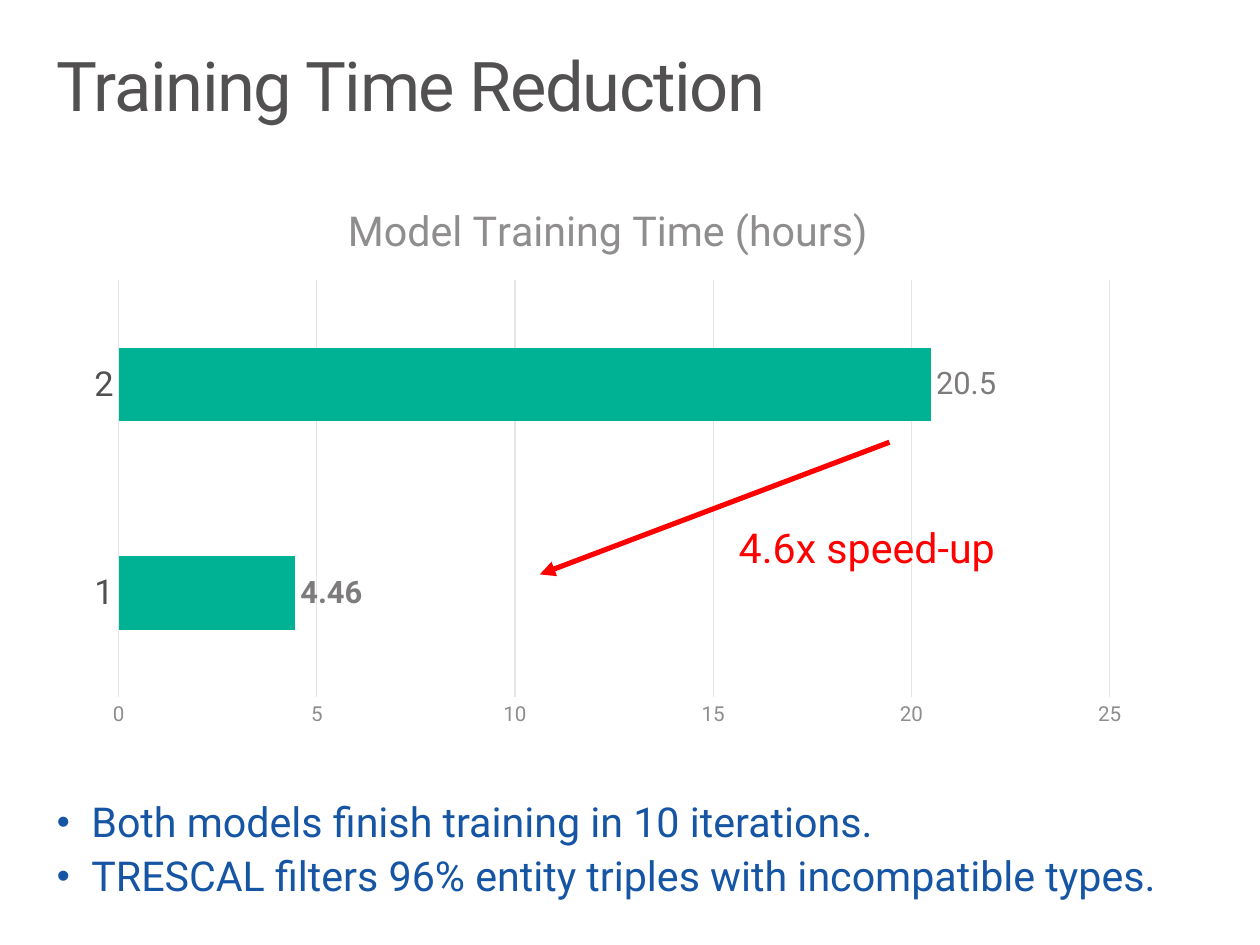
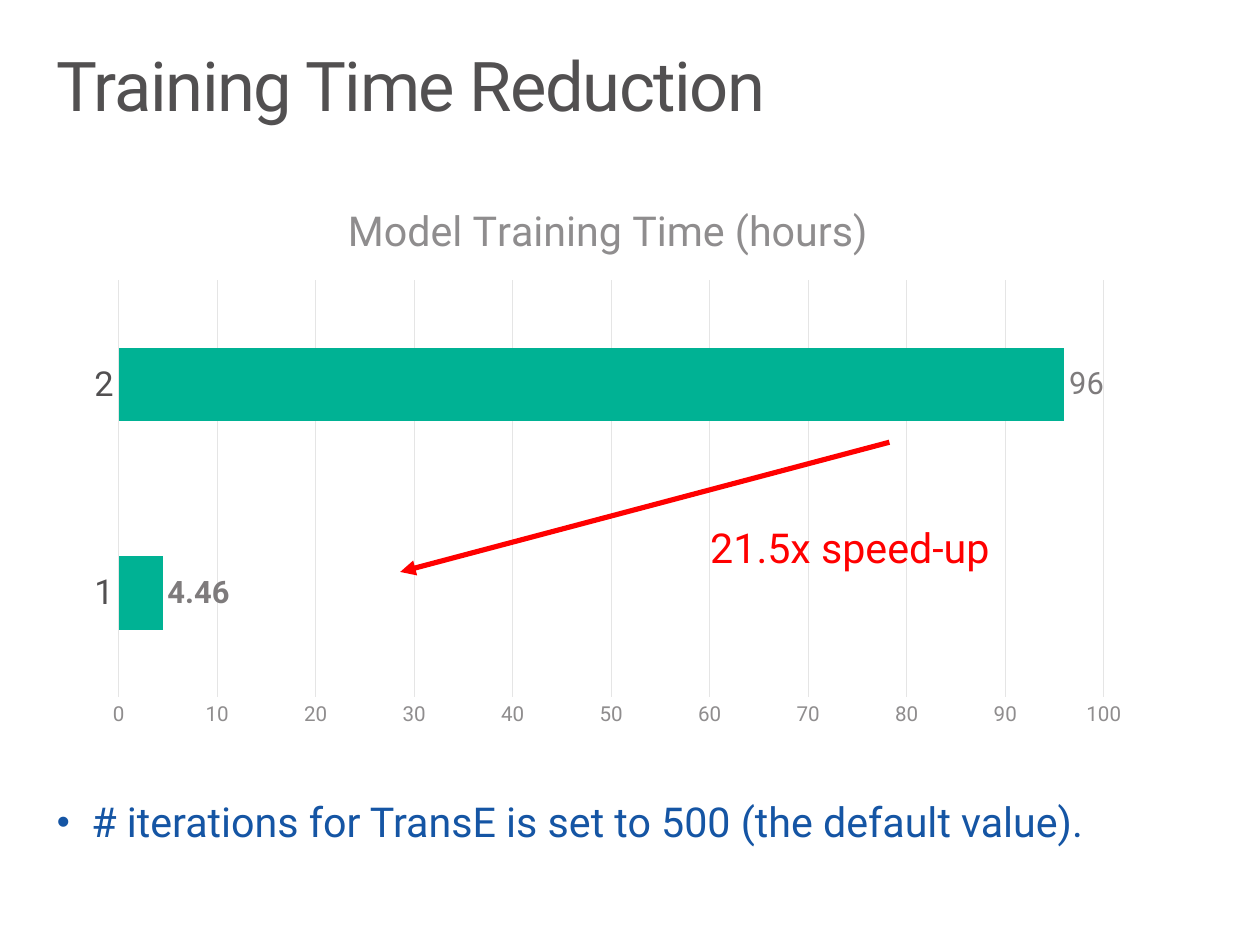
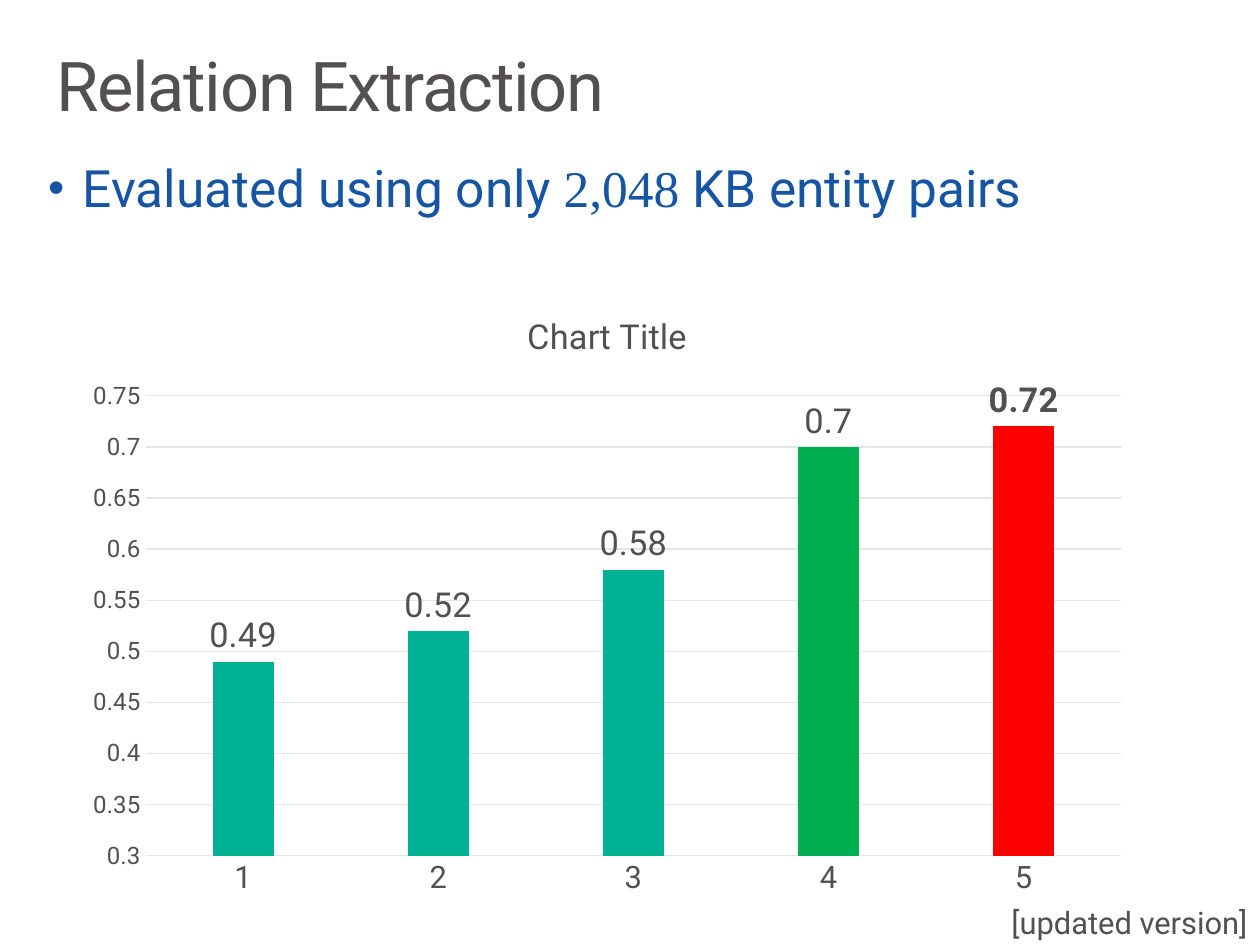
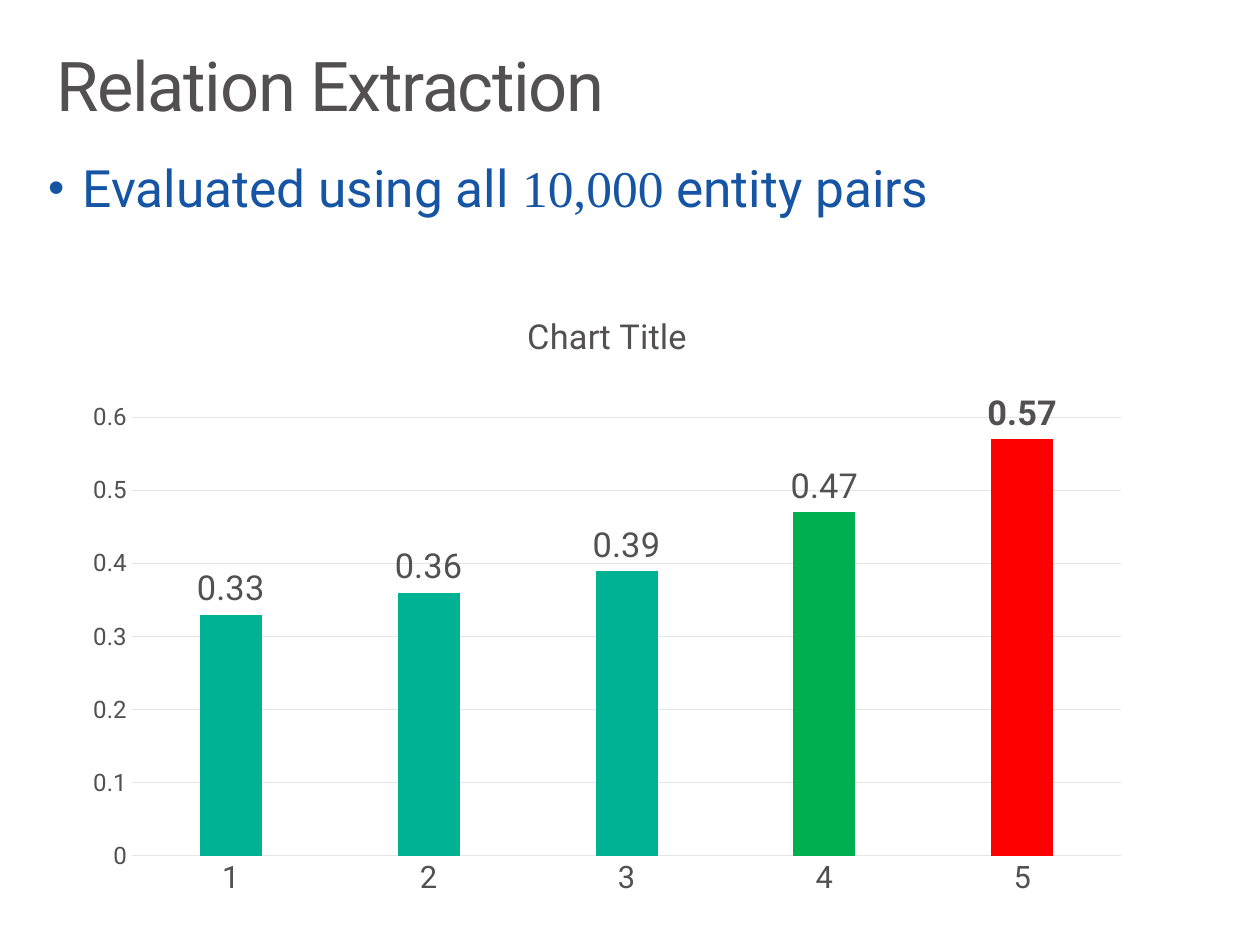
import pptx
import pptx.chart.data
import pptx.dml.color
import pptx.enum.chart
import pptx.enum.shapes
import pptx.enum.text
import pptx.oxml.ns
import pptx.util
import lxml.etree

Pt = pptx.util.Pt
ALIGN = pptx.enum.text.PP_ALIGN
CHART_TYPE = pptx.enum.chart.XL_CHART_TYPE

SANS, SERIF = "Roboto", "Times New Roman"
DARK, GRAY, LABEL_GRAY, GRID = "525051", "8F8D8E", "7E7B7C", "E5E5E5"
BLUE, TEAL, GREEN, RED = "1555A4", "00B294", "00B050", "FF0000"

BODY_INSETS = (11.52, 7.2)
NOTE_INSETS = (14.4, 11.52)
INDENT = 20.16


def rgb(hex_code):
    """Turn a hex string into a colour."""
    return pptx.dml.color.RGBColor.from_string(hex_code)


def style_font(font, size, color, name=SANS, bold=False):
    """Set the face, size, colour and weight of a font."""
    font.name = name
    font.size = Pt(size)
    font.bold = bold
    font.color.rgb = rgb(color)


def style_line(line, color, width):
    """Set a solid line's colour and width."""
    line.color.rgb = rgb(color)
    line.width = Pt(width)


def add_element(parent, tag, **attributes):
    """Append a DrawingML element."""
    return lxml.etree.SubElement(parent, pptx.oxml.ns.qn(tag), attributes)


def prepare_frame(frame, insets):
    """Set wrapping, top anchor and insets of a text frame."""
    side, end = insets
    frame.word_wrap = True
    frame.auto_size = pptx.enum.text.MSO_AUTO_SIZE.NONE
    frame.vertical_anchor = pptx.enum.text.MSO_ANCHOR.TOP
    frame.margin_left = frame.margin_right = Pt(side)
    frame.margin_top = frame.margin_bottom = Pt(end)


def add_run(paragraph, words, size, color, name=SANS):
    """Add one formatted run and return it."""
    run = paragraph.add_run()
    run.text = words
    style_font(run.font, size, color, name)
    return run


def add_titled_slide(deck, heading):
    """Add a title-only slide with its heading."""
    slide = deck.slides.add_slide(deck.slide_layouts[5])
    title = slide.shapes.title
    title.left, title.top, title.width, title.height = map(Pt, (21.6, 23.04, 691.2, 72))
    prepare_frame(title.text_frame, BODY_INSETS)
    paragraph = title.text_frame.paragraphs[0]
    paragraph.alignment = ALIGN.LEFT
    paragraph.line_spacing = 0.9
    run = add_run(paragraph, heading, 40, DARK)
    run.font._element.set("spc", "-80")
    return slide


def add_bullets(slide, box, size, bullets):
    """Add a bulleted list; each bullet is a list of (words, font) pairs."""
    frame = slide.shapes.add_textbox(*map(Pt, box)).text_frame
    prepare_frame(frame, BODY_INSETS)
    for index, bullet in enumerate(bullets):
        paragraph = frame.add_paragraph() if index else frame.paragraphs[0]
        paragraph.line_spacing = 0.9
        if index:
            paragraph.space_before = Pt(size * 0.23)
        properties = paragraph._p.get_or_add_pPr()
        properties.set("marL", str(Pt(INDENT)))
        properties.set("indent", str(-Pt(INDENT)))
        add_element(properties, "a:buSzPct", val="90000")
        add_element(properties, "a:buFont", typeface="Arial")
        add_element(properties, "a:buChar", char="•")
        for words, name in bullet:
            add_run(paragraph, words, size, BLUE, name)


def add_note(slide, box, words, size, color, alignment=ALIGN.LEFT):
    """Add a single-line remark."""
    frame = slide.shapes.add_textbox(*map(Pt, box)).text_frame
    prepare_frame(frame, NOTE_INSETS)
    paragraph = frame.paragraphs[0]
    paragraph.alignment = alignment
    paragraph.line_spacing = 0.9
    paragraph.space_after = Pt(6)
    add_run(paragraph, words, size, color)


def add_arrow(slide, start, end):
    """Add a red arrow between two points."""
    arrow = slide.shapes.add_connector(
        pptx.enum.shapes.MSO_CONNECTOR.STRAIGHT, *map(Pt, start + end))
    style_line(arrow.line, RED, 3)
    add_element(arrow.line._get_or_add_ln(), "a:tailEnd", type="triangle")
    add_element(arrow._element.spPr, "a:effectLst")


def style_axis(axis, size, color):
    """Remove an axis's tick marks and format its labels."""
    axis.major_tick_mark = axis.minor_tick_mark = pptx.enum.chart.XL_TICK_MARK.NONE
    style_font(axis.tick_labels.font, size, color)


def add_bar_chart(slide, kind, box, values, scale, heading, category_size,
                  value_style, label_style, gap, bold_point):
    """Add a one-series bar chart with value labels and return its series."""
    figures = pptx.chart.data.CategoryChartData()
    figures.categories = [str(number + 1) for number in range(len(values))]
    figures.add_series("Series 1", values)
    chart = slide.shapes.add_chart(kind, *map(Pt, box), figures).chart
    style_font(chart.font, 10, DARK)
    chart.has_legend = False
    chart.has_title = True
    chart.chart_title.include_in_layout = False
    words, size, color = heading
    add_run(chart.chart_title.text_frame.paragraphs[0], words, size, color)

    style_axis(chart.category_axis, category_size, DARK)
    style_line(chart.category_axis.format.line, GRID, 0.75)
    value_axis = chart.value_axis
    style_axis(value_axis, *value_style)
    value_axis.format.line.fill.background()
    value_axis.minimum_scale, value_axis.maximum_scale, value_axis.major_unit = scale
    style_line(value_axis.major_gridlines.format.line, GRID, 0.75)

    plot = chart.plots[0]
    plot.vary_by_categories = False
    plot.gap_width = gap
    series = plot.series[0]
    series.invert_if_negative = False
    series.format.fill.solid()
    series.format.fill.fore_color.rgb = rgb(TEAL)
    labels = series.data_labels
    labels.show_value = True
    bold_label = series.points[bold_point].data_label
    for label in (labels, bold_label):
        style_font(label.font, *label_style, bold=label is bold_label)
        label.position = pptx.enum.chart.XL_LABEL_POSITION.OUTSIDE_END
    return plot, series


def add_training_slide(deck, hours, scale, arrow_end, speedup, speedup_left,
                       remarks, remarks_height):
    """Add a slide that compares two training times."""
    slide = add_titled_slide(deck, "Training Time Reduction")
    add_bullets(slide, (21.6, 460.08, 702, remarks_height), 24,
                [[(remark, SANS)] for remark in remarks])
    add_bar_chart(slide, CHART_TYPE.BAR_CLUSTERED, (42.48, 103.68, 623.52, 326.16),
                  hours, scale, ("Model Training Time (hours)", 24, GRAY),
                  20, (12, GRAY), (18, LABEL_GRAY), 182, 0)
    add_arrow(slide, (518.4, 257.76), arrow_end)
    add_note(slide, (speedup_left, 295.92, 604.08 - speedup_left, 49.68),
             speedup, 24, RED)


def add_extraction_slide(deck, scores, scale, before, count, after):
    """Add a slide that compares five extraction scores."""
    slide = add_titled_slide(deck, "Relation Extraction")
    plot, series = add_bar_chart(
        slide, CHART_TYPE.COLUMN_CLUSTERED, (41.76, 167.76, 624.24, 362.16),
        scores, scale, ("Chart Title", 20, DARK),
        18, (14, DARK), (20, DARK), 219, 4)
    plot.overlap = -27
    for index, color in ((3, GREEN), (4, RED)):
        fill = series.points[index].format.fill
        fill.solid()
        fill.fore_color.rgb = rgb(color)
    add_bullets(slide, (16.56, 87.84, 702, 47.52), 30,
                [[(before, SANS), (count, SERIF), (after, SANS)]])
    return slide


def main():
    """Build and save the four slides."""
    deck = pptx.Presentation()
    deck.slide_width, deck.slide_height = Pt(734.4), Pt(550.8)
    add_training_slide(
        deck, (4.46, 20.5), (0, 25, 5), (314.64, 334.8), "4.6x speed-up", 416.16,
        ["Both models finish training in 10 iterations.",
         "TRESCAL filters 96% entity triples with incompatible types."], 72.72)
    add_training_slide(
        deck, (4.46, 96), (0, 100, 10), (233.28, 333.36), "21.5x speed-up", 399.6,
        ["# iterations for TransE is set to 500 (the default value)."], 41.04)
    updated = add_extraction_slide(
        deck, (0.49, 0.52, 0.58, 0.7, 0.72), (0.3, 0.75, 0.05),
        "Evaluated using only ", "2,048", " KB entity pairs")
    add_note(updated, (557.28, 517.68, 184.32, 43.2), "[updated version]",
             18, DARK, ALIGN.RIGHT)
    add_extraction_slide(
        deck, (0.33, 0.36, 0.39, 0.47, 0.57), (0, 0.65, 0.1),
        "Evaluated using all ", "10,000", " entity pairs")
    deck.save("out.pptx")


if __name__ == "__main__":
    main()
